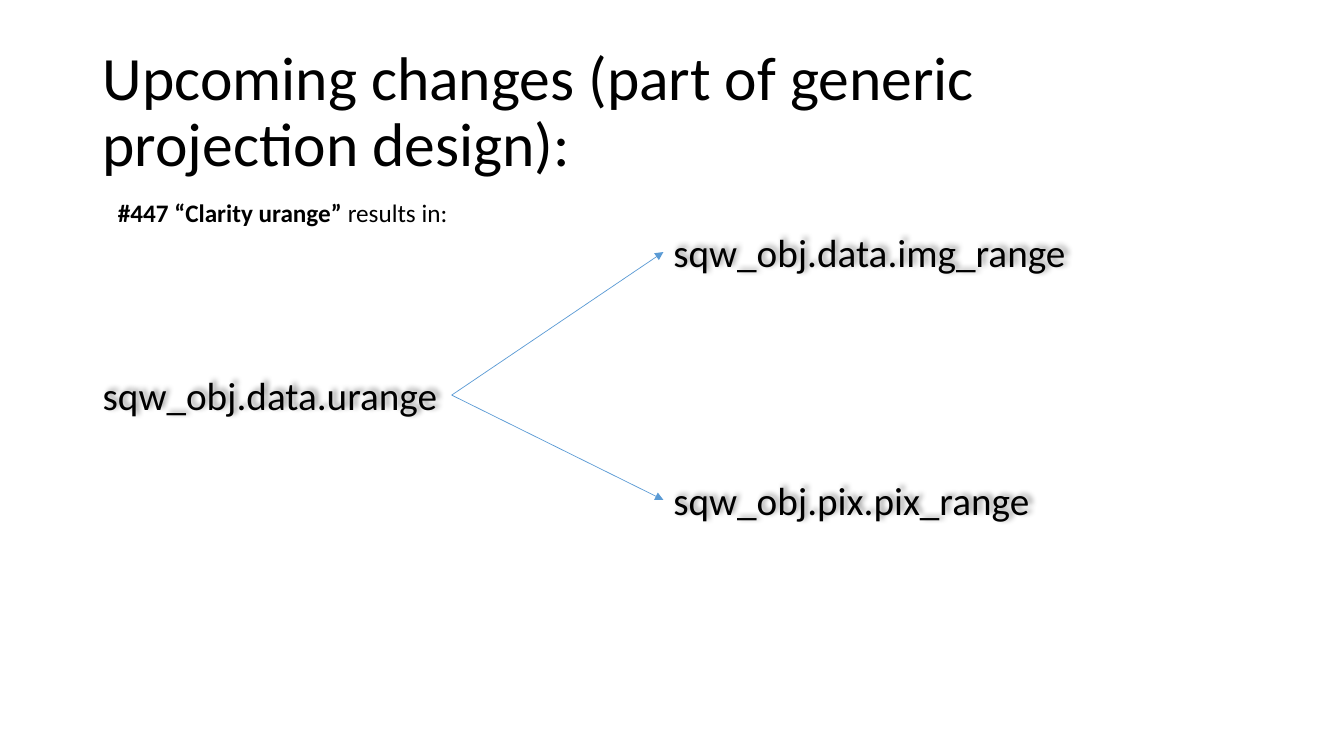
from lxml import etree
from pptx import Presentation
from pptx.dml.color import RGBColor
from pptx.enum.shapes import MSO_CONNECTOR
from pptx.enum.text import MSO_ANCHOR, MSO_AUTO_SIZE
from pptx.oxml import parse_xml
from pptx.oxml.ns import nsdecls, qn
from pptx.util import Inches, Pt

BLACK = RGBColor(0x00, 0x00, 0x00)
BLUE = RGBColor(0x5B, 0x9B, 0xD5)
FONT = "Calibri"

# Content: text runs are (text, bold)
TITLE = [("Upcoming changes (part of generic projection design):", False)]
ISSUE = [("#447 “Clarity urange” ", True), ("results in:", False)]

# Fields: name, left, vertical centre, width
OLD_FIELD = ("sqw_obj.data.urange", 0.92, 3.92, 3.56)
NEW_FIELDS = [
    ("sqw_obj.data.img_range", 6.58, 2.5, 4.14),
    ("sqw_obj.pix.pix_range", 6.58, 4.96, 3.78),
]
FIELD_HEIGHT = 0.57

SHADOW = (
    f'<a:effectLst {nsdecls("a")}>'
    '<a:outerShdw blurRad="50800" dist="38100" dir="18900000" algn="bl" rotWithShape="0">'
    '<a:prstClr val="black"><a:alpha val="40000"/></a:prstClr>'
    '</a:outerShdw></a:effectLst>'
)

prs = Presentation()
prs.slide_width, prs.slide_height = Inches(13.33), Inches(7.5)
slide = prs.slides.add_slide(prs.slide_layouts[6])


def add_text(runs, left, top, width, height, size, wrap=False,
             anchor=MSO_ANCHOR.TOP, spacing=None, shadow=False):
    box = slide.shapes.add_textbox(Inches(left), Inches(top), Inches(width), Inches(height))
    frame = box.text_frame
    frame.word_wrap = wrap
    frame.auto_size = MSO_AUTO_SIZE.NONE if wrap else MSO_AUTO_SIZE.SHAPE_TO_FIT_TEXT
    frame.vertical_anchor = anchor
    paragraph = frame.paragraphs[0]
    paragraph.line_spacing = spacing
    for text, bold in runs:
        run = paragraph.add_run()
        run.text = text
        run.font.name, run.font.size, run.font.bold = FONT, Pt(size), bold
        run.font.color.rgb = BLACK
    if shadow:
        box._element.spPr.append(parse_xml(SHADOW))


def add_field(name, left, centre, width):
    add_text([(name, False)], left, centre - FIELD_HEIGHT / 2, width, FIELD_HEIGHT,
             size=28, shadow=True)


def add_arrow(start, end):
    arrow = slide.shapes.add_connector(
        MSO_CONNECTOR.STRAIGHT, *(Inches(value) for value in (*start, *end)))
    arrow.line.color.rgb = BLUE
    arrow.line.width = Pt(0.5)
    etree.SubElement(arrow.line._get_or_add_ln(), qn("a:tailEnd"), type="triangle")
    etree.SubElement(arrow._element.spPr, qn("a:effectLst"))


# Title and issue
add_text(TITLE, 0.92, 0.4, 11.5, 1.45, size=44, wrap=True,
         anchor=MSO_ANCHOR.MIDDLE, spacing=0.9)
add_text(ISSUE, 1.07, 1.91, 3.5, 0.4, size=18)

# Field names
for field in [OLD_FIELD, *NEW_FIELDS]:
    add_field(*field)

# Arrows from the old field's right edge to each new field
_, old_left, old_centre, old_width = OLD_FIELD
for _, new_left, new_centre, _ in NEW_FIELDS:
    add_arrow((old_left + old_width, old_centre), (new_left, new_centre))

prs.save("out.pptx")
